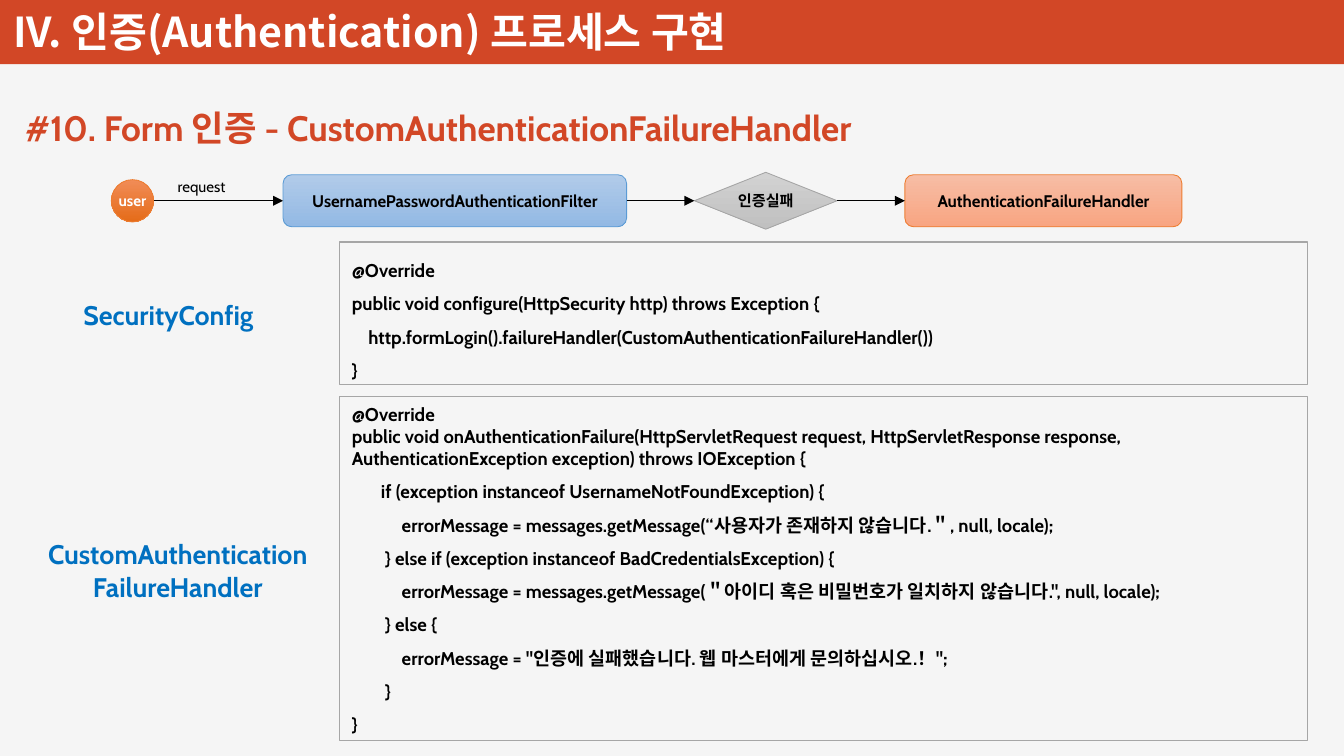
from pptx import Presentation
from pptx.dml.color import RGBColor
from pptx.enum.shapes import MSO_CONNECTOR, MSO_SHAPE
from pptx.enum.text import MSO_ANCHOR, MSO_AUTO_SIZE, PP_ALIGN
from pptx.oxml.ns import qn
from pptx.util import Inches, Pt
from lxml import etree

RECT, ROUND = MSO_SHAPE.RECTANGLE, MSO_SHAPE.ROUNDED_RECTANGLE
OVAL, DECISION = MSO_SHAPE.OVAL, MSO_SHAPE.FLOWCHART_DECISION
STRAIGHT = MSO_CONNECTOR.STRAIGHT
TOP, MIDDLE, BOTTOM = MSO_ANCHOR.TOP, MSO_ANCHOR.MIDDLE, MSO_ANCHOR.BOTTOM
LEFT, CENTER = PP_ALIGN.LEFT, PP_ALIGN.CENTER
GROW = MSO_AUTO_SIZE.SHAPE_TO_FIT_TEXT
LATIN, KOREAN = "Cabin", "Noto Sans CJK KR"
RED, BLUE, BLACK, WHITE = "D24726", "0070C0", "000000", "FFFFFF"
LEFT_SIDE, RIGHT_SIDE = 1, 3

WIDTH, HEIGHT = 11.11, 6.25
BANDS = [(HEIGHT, "F5F5F5"), (0.53, RED)]

LABELS = [
    ((0.01, -0.1, 6.72, 0.61), ["IV. 인증(Authentication) 프로세스 구현"],
     {"size": 24.5, "color": WHITE, "name": KOREAN}, LEFT, BOTTOM),
    ((0.11, 0.83, 7.71, 0.45), ["#10. Form 인증 - CustomAuthenticationFailureHandler"],
     {"size": 21, "color": RED}, LEFT, TOP),
    ((1.37, 1.42, 0.62, 0.25), ["request"], {"size": 9, "bold": False}, LEFT, TOP),
    ((0.59, 2.42, 1.75, 0.37), ["SecurityConfig"],
     {"size": 16, "color": BLUE}, LEFT, TOP),
    ((0.18, 4.4, 2.58, 0.64), ["CustomAuthentication", "FailureHandler"],
     {"size": 16, "color": BLUE}, CENTER, TOP),
]

FLOW_MIDDLE = 1.66
FLOW = [
    (OVAL, 0.92, 0.35, 0.35, "user", {"size": 9, "color": WHITE},
     ("F18C57", "E56C19"), "ED7D31"),
    (ROUND, 2.34, 2.84, 0.43, "UsernamePasswordAuthenticationFilter", {"size": 10},
     ("B1CBE9", "93B9E4"), "5B9BD5"),
    (DECISION, 5.74, 1.18, 0.47, "인증실패", {"size": 9},
     ("D2D2D2", "C0C0C0"), "A5A5A5"),
    (ROUND, 7.48, 2.29, 0.43, "AuthenticationFailureHandler", {"size": 10},
     ("F7BDA5", "F8A582"), "ED7D31"),
]

CODE_LEFT, CODE_WIDTH = 2.81, 8
CODE = [
    (2, 1.18, 0, [
        "@Override",
        "public void configure(HttpSecurity http) throws Exception {",
        "    http.formLogin().failureHandler(CustomAuthenticationFailureHandler())",
        "}",
    ]),
    (3.28, 2.84, 2, [
        "@Override",
        "public void onAuthenticationFailure(HttpServletRequest request, HttpServletResponse response, "
        "AuthenticationException exception) throws IOException {",
        "       if (exception instanceof UsernameNotFoundException) {",
        "            errorMessage = messages.getMessage(“사용자가 존재하지 않습니다.＂, null, locale);",
        "        } else if (exception instanceof BadCredentialsException) {",
        "            errorMessage = messages.getMessage(＂아이디 혹은 비밀번호가 일치하지 않습니다.\", null, locale);",
        "        } else {",
        "            errorMessage = \"인증에 실패했습니다. 웹 마스터에게 문의하십시오.！\";",
        "        }",
        "}",
    ]),
]


def rgb(value):
    return RGBColor.from_string(value)


def write(shape, lines, style, align=LEFT, anchor=TOP, wrap=False, single=None):
    frame = shape.text_frame
    frame.word_wrap, frame.vertical_anchor = wrap, anchor
    look = {"name": LATIN, "bold": True, "color": BLACK, **style}
    look["size"] = Pt(look["size"])
    color = look.pop("color")
    for index, line in enumerate(lines):
        para = frame.paragraphs[0] if index == 0 else frame.add_paragraph()
        para.alignment = align
        if single is not None and index >= single:
            para.line_spacing = 1.5
        span = para.add_run()
        span.text = line
        span.font.color.rgb = rgb(color)
        for key, value in look.items():
            setattr(span.font, key, value)
        etree.SubElement(span.font._element, qn("a:ea"), typeface=KOREAN)


def add_box(page, kind, place, line=None, weight=0.5):
    box = page.shapes.add_shape(kind, *map(Inches, place))
    box.shadow.inherit = False
    if line:
        box.line.color.rgb = rgb(line)
        box.line.width = Pt(weight)
    else:
        box.line.fill.background()
    return box


def add_step(page, kind, left, width, height, text, style, shades, line):
    step = add_box(page, kind, (left, FLOW_MIDDLE - height / 2, width, height), line)
    step.fill.gradient()
    step.fill.gradient_angle = 270
    for stop, shade in zip(step.fill.gradient_stops, shades):
        stop.color.rgb = rgb(shade)
    frame = step.text_frame
    frame.margin_left = frame.margin_right = 0
    write(step, [text], style, CENTER, MIDDLE)
    return step


def add_arrow(page, start, end):
    arrow = page.shapes.add_connector(STRAIGHT, 0, 0, 0, 0)
    arrow.begin_connect(start, RIGHT_SIDE)
    arrow.end_connect(end, LEFT_SIDE)
    arrow.line.color.rgb = rgb(BLACK)
    arrow.line.width = Pt(0.5)
    etree.SubElement(arrow.line._get_or_add_ln(), qn("a:tailEnd"), type="triangle")
    etree.SubElement(arrow._element.spPr, qn("a:effectLst"))


def connect_steps(page, steps):
    sites = {OVAL: (2, 6)}
    for start, end in zip(steps, steps[1:]):
        add_arrow(page, start, end)


def main():
    deck = Presentation()
    deck.slide_width, deck.slide_height = Inches(WIDTH), Inches(HEIGHT)
    page = deck.slides.add_slide(deck.slide_layouts[6])

    for height, color in BANDS:
        band = add_box(page, RECT, (0, 0, WIDTH, height))
        band.fill.solid()
        band.fill.fore_color.rgb = rgb(color)

    for place, lines, style, align, anchor in LABELS:
        label = page.shapes.add_textbox(*map(Inches, place))
        write(label, lines, style, align, anchor)
        label.text_frame.auto_size = GROW

    steps = [add_step(page, *step) for step in FLOW]
    connect_steps(page, steps)

    for top, height, single, lines in CODE:
        panel = add_box(page, RECT, (CODE_LEFT, top, CODE_WIDTH, height), "A6A6A6", 0.75)
        panel.fill.background()
        write(panel, lines, {"size": 11}, wrap=True, single=single)

    deck.save("out.pptx")


if __name__ == "__main__":
    main()
